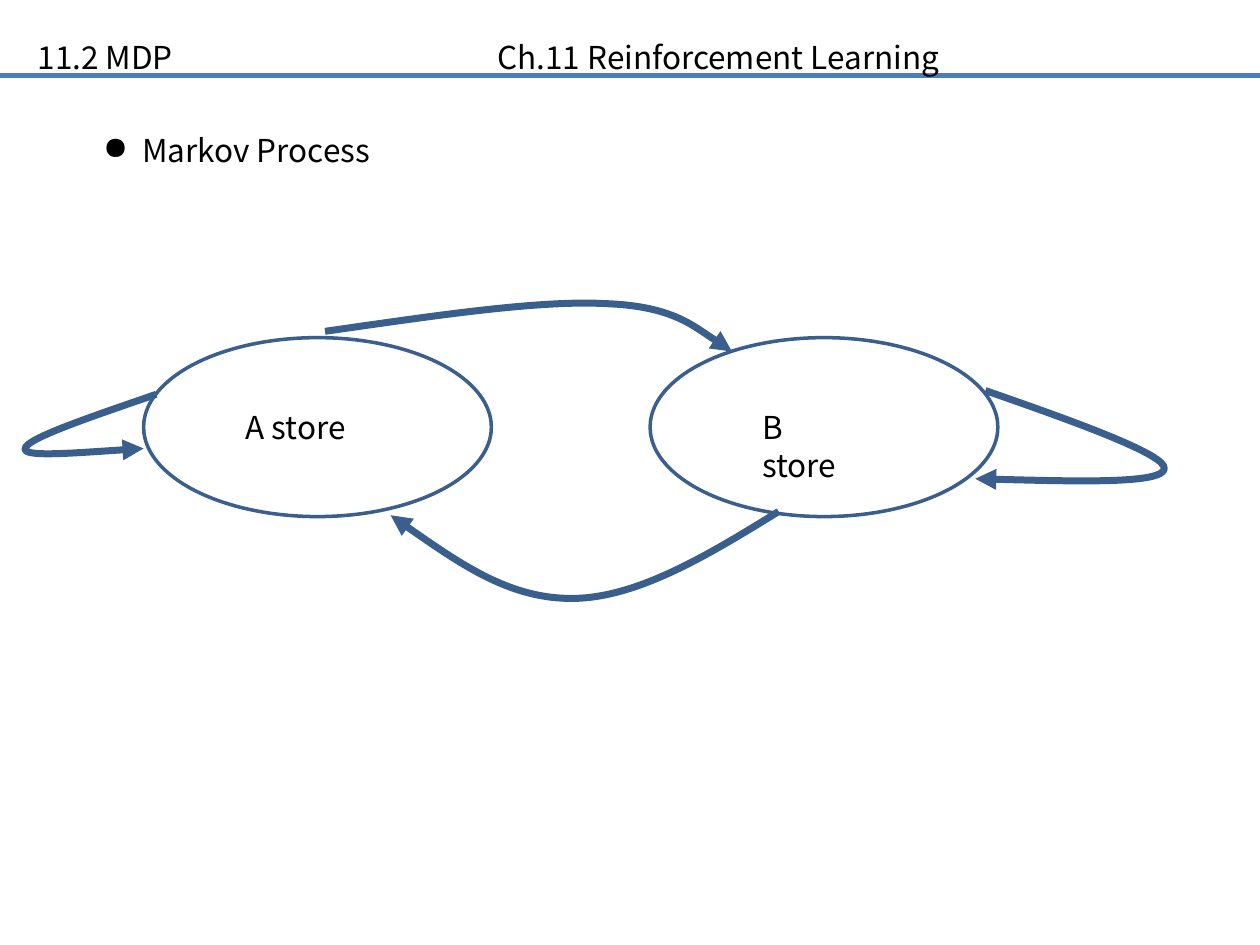
"""Builds the Markov process slide with two stores and their transitions."""
from dataclasses import dataclass

from lxml.etree import SubElement
from pptx import Presentation
from pptx.dml.color import RGBColor
from pptx.enum.shapes import MSO_CONNECTOR, MSO_SHAPE
from pptx.enum.text import MSO_AUTO_SIZE
from pptx.oxml.ns import qn
from pptx.util import Inches, Pt


@dataclass(frozen=True)
class Theme:
    font: str = "Noto Sans CJK KR"
    size: int = 18
    text: RGBColor = RGBColor(0x00, 0x00, 0x00)
    rule: RGBColor = RGBColor(0x4B, 0x7E, 0xBC)
    outline: RGBColor = RGBColor(0x3A, 0x5F, 0x8C)


theme = Theme()


def add_text(page, left, top, width, text, wrap=True, bullet=None, tab=None):
    box = page.shapes.add_textbox(Inches(left), Inches(top), Inches(width), Inches(0.4))
    box.text_frame.word_wrap = wrap
    box.text_frame.auto_size = MSO_AUTO_SIZE.SHAPE_TO_FIT_TEXT
    para = box.text_frame.paragraphs[0]
    properties = para._p.get_or_add_pPr()
    if bullet:
        properties.set("marL", str(Inches(0.31)))
        properties.set("indent", str(-Inches(0.31)))
        SubElement(properties, qn("a:buChar"), char=bullet)
    if tab:
        stops = SubElement(properties, qn("a:tabLst"))
        SubElement(stops, qn("a:tab"), pos=str(Inches(tab)), algn="l")
    span = para.add_run()
    span.text = text
    span.font.name = theme.font
    span.font.size = Pt(theme.size)
    span.font.color.rgb = theme.text


def style_outline(shape, weight):
    shape.shadow.inherit = False
    shape.fill.background()
    shape.line.color.rgb = theme.outline
    shape.line.width = Pt(weight)


deck = Presentation()
deck.slide_width, deck.slide_height = Inches(10), Inches(7.5)
page = deck.slides.add_slide(deck.slide_layouts[6])

rule = page.shapes.add_connector(
    MSO_CONNECTOR.STRAIGHT, Inches(0), Inches(0.6), Inches(10), Inches(0.6)
)
rule.line.color.rgb = theme.rule
rule.line.width = Pt(3)
SubElement(rule._element.spPr, qn("a:effectLst"))

add_text(page, 0.2, 0.25, 9.06, "11.2 MDP\tCh.11 Reinforcement Learning", tab=3.65)
add_text(page, 0.72, 0.99, 7.5, "Markov Process", bullet="●")

for left in (1.14, 5.16):
    store = page.shapes.add_shape(
        MSO_SHAPE.OVAL, Inches(left), Inches(2.68), Inches(2.76), Inches(1.42)
    )
    style_outline(store, 2)

for left, width, name in ((1.85, 1.02, "A store"), (5.95, 1, "B store")):
    add_text(page, left, 3.19, width, name, wrap=False)

transitions = [
    [(2.58, 2.63), (3.42, 2.51), (4.27, 2.38), (4.81, 2.41), (5.35, 2.43), (5.81, 2.79), (5.81, 2.79)],
    [(1.24, 3.13), (0.72, 3.31), (0.21, 3.48), (0.2, 3.56), (0.18, 3.63), (0.66, 3.59), (1.14, 3.56)],
    [(6.18, 4.06), (5.63, 4.4), (5.07, 4.74), (4.56, 4.75), (4.05, 4.76), (3.57, 4.42), (3.1, 4.09)],
    [(7.82, 3.1), (8.54, 3.35), (9.26, 3.61), (9.24, 3.72), (9.23, 3.84), (8.48, 3.82), (7.74, 3.8)],
]
for points in transitions:
    start, *controls = [(Inches(x), Inches(y)) for x, y in points]
    builder = page.shapes.build_freeform(*start)
    builder.add_line_segments(controls, close=False)
    arrow = builder.convert_to_shape()
    segments = arrow._element.xpath(".//a:lnTo")
    for first in range(0, len(segments), 3):
        curve = SubElement(segments[first].getparent(), qn("a:cubicBezTo"))
        for segment in segments[first:first + 3]:
            curve.append(segment[0])
            segment.getparent().remove(segment)
    style_outline(arrow, 4)
    SubElement(arrow._element.spPr.find(qn("a:ln")), qn("a:tailEnd"), type="triangle")

deck.save("out.pptx")
